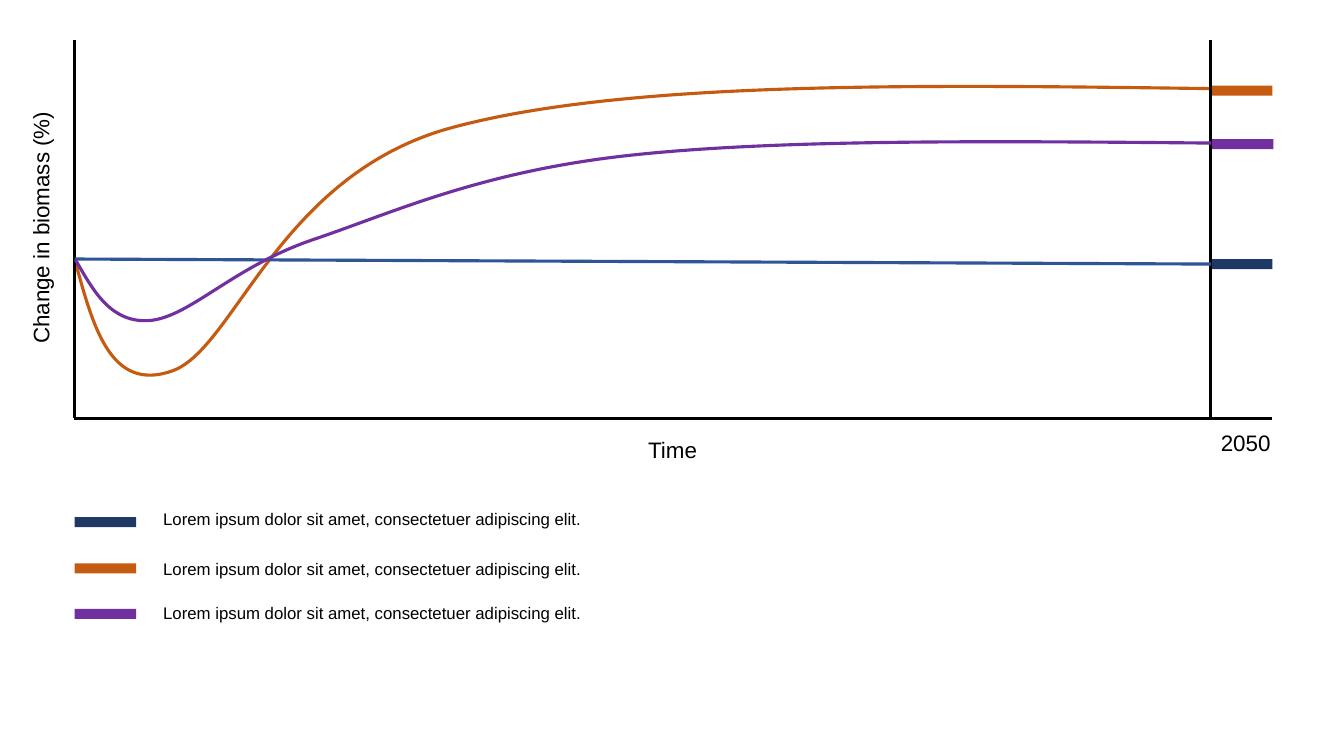
from typing import NamedTuple

from lxml.etree import SubElement
from pptx import Presentation
from pptx.dml.color import RGBColor
from pptx.enum.shapes import MSO_CONNECTOR as Connector, MSO_SHAPE as Preset
from pptx.enum.text import MSO_AUTO_SIZE as AutoSize
from pptx.oxml.ns import qn
from pptx.util import Inches, Pt

BLACK = RGBColor(0x00, 0x00, 0x00)
NAVY = RGBColor(0x20, 0x38, 0x64)
BLUE = RGBColor(0x2F, 0x55, 0x97)
ORANGE = RGBColor(0xC5, 0x5A, 0x11)
PURPLE = RGBColor(0x70, 0x30, 0xA0)

FONT = "Arial"
STROKE = Pt(2.25)
BAR_WIDTH, BAR_HEIGHT = 0.61, 0.1
AXIS_LEFT, AXIS_TOP, AXIS_BOTTOM = 0.74, 0.4, 4.15
YEAR_X, AXIS_RIGHT = 12.01, 12.62
LEGEND_TEXT = "Lorem ipsum dolor sit amet, consectetuer adipiscing elit. "

Point = tuple[float, float]


class Series(NamedTuple):
    color: RGBColor
    end_left: float
    end_top: float
    key_top: float
    text_top: float


class Line(NamedTuple):
    start: Point
    end: Point
    color: RGBColor = BLACK


class Curve(NamedTuple):
    color: RGBColor
    top: float
    bottom: float
    points: list[Point]  # start, then two controls and an end per segment


class Label(NamedTuple):
    text: str
    left: float
    top: float
    width: float
    height: float = 0.37
    size: int = 16
    rotation: int = 0


SERIES = [
    Series(NAVY, 12.01, 2.57, 5.13, 5.0),
    Series(ORANGE, 12.01, 0.85, 5.59, 5.49),
    Series(PURPLE, 12.02, 1.38, 6.04, 5.93),
]
ORANGE_CURVE = Curve(ORANGE, 0.86, 3.73, [
    (0.74, 2.57), (0.92, 3.23), (1.09, 3.9), (1.71, 3.68),
    (2.33, 3.46), (2.76, 1.74), (4.47, 1.27),
    (6.19, 0.8), (9.1, 0.84), (12.01, 0.88),
])
PURPLE_CURVE = Curve(PURPLE, 1.41, 3.18, [
    (0.75, 2.58), (0.93, 2.89), (1.1, 3.21), (1.49, 3.18),
    (1.89, 3.14), (2.31, 2.65), (3.1, 2.38),
    (3.9, 2.11), (4.77, 1.7), (6.26, 1.54),
    (7.74, 1.38), (9.88, 1.4), (12.01, 1.42),
])
LINES = [
    Line((AXIS_LEFT, AXIS_TOP), (AXIS_LEFT, AXIS_BOTTOM)),
    Line((0.73, AXIS_BOTTOM), (AXIS_RIGHT, AXIS_BOTTOM)),
    Line((YEAR_X, AXIS_TOP), (YEAR_X, AXIS_BOTTOM)),
    Line((AXIS_LEFT, 2.57), (YEAR_X, 2.62), BLUE),
]
LABELS = [
    Label("Time", 6.33, 4.28, 0.69),
    Label("2050", 12.01, 4.21, 0.7),
    Label("Change in biomass (%)", -0.86, 2.06, 2.53, rotation=270),
]


def add_bar(page, left: float, top: float, color: RGBColor) -> None:
    bar = page.shapes.add_shape(Preset.RECTANGLE, Inches(left), Inches(top),
                                Inches(BAR_WIDTH), Inches(BAR_HEIGHT))
    bar.shadow.inherit = False
    bar.fill.solid()
    bar.fill.fore_color.rgb = color
    bar.line.fill.background()


def add_line(page, line: Line) -> None:
    ends = [Inches(value) for value in (*line.start, *line.end)]
    connector = page.shapes.add_connector(Connector.STRAIGHT, *ends)
    connector.line.color.rgb = line.color
    connector.line.width = STROKE
    SubElement(connector.element.spPr, qn("a:effectLst"))


def add_curve(page, curve: Curve) -> None:
    # The freeform's diagonal sets its frame
    left, right = curve.points[0][0], curve.points[-1][0]
    builder = page.shapes.build_freeform(Inches(left), Inches(curve.top))
    builder.add_line_segments([(Inches(right), Inches(curve.bottom))], close=False)
    outline = builder.convert_to_shape()
    outline.shadow.inherit = False
    outline.fill.background()
    outline.line.color.rgb = curve.color
    outline.line.width = STROKE

    # Smooth segments replace the diagonal
    track = next(outline.element.iter(qn("a:path")))
    for command in list(track):
        track.remove(command)
    command = SubElement(track, qn("a:moveTo"))
    for index, (x, y) in enumerate(curve.points):
        if index % 3 == 1:
            command = SubElement(track, qn("a:cubicBezTo"))
        SubElement(command, qn("a:pt"), x=str(Inches(x) - Inches(left)),
                   y=str(Inches(y) - Inches(curve.top)))


def add_label(page, label: Label) -> None:
    box = page.shapes.add_textbox(Inches(label.left), Inches(label.top),
                                  Inches(label.width), Inches(label.height))
    box.rotation = label.rotation
    frame = box.text_frame
    frame.word_wrap = False
    frame.auto_size = AutoSize.SHAPE_TO_FIT_TEXT
    frame.text = label.text
    font = frame.paragraphs[0].runs[0].font
    font.name = FONT
    font.size = Pt(label.size)
    font.color.rgb = BLACK


deck = Presentation()
deck.slide_width, deck.slide_height = Inches(13.33), Inches(7.5)
page = deck.slides.add_slide(deck.slide_layouts[6])

# End values in 2050
for series in SERIES:
    add_bar(page, series.end_left, series.end_top, series.color)

# Curves, axes and the baseline
add_curve(page, ORANGE_CURVE)
for line in LINES:
    add_line(page, line)
add_curve(page, PURPLE_CURVE)

# Legend
for series in SERIES:
    add_bar(page, AXIS_LEFT, series.key_top, series.color)
    add_label(page, Label(LEGEND_TEXT, 1.52, series.text_top, 4.43, 0.3, 12))

# Axis labels
for label in LABELS:
    add_label(page, label)

deck.save("out.pptx")
